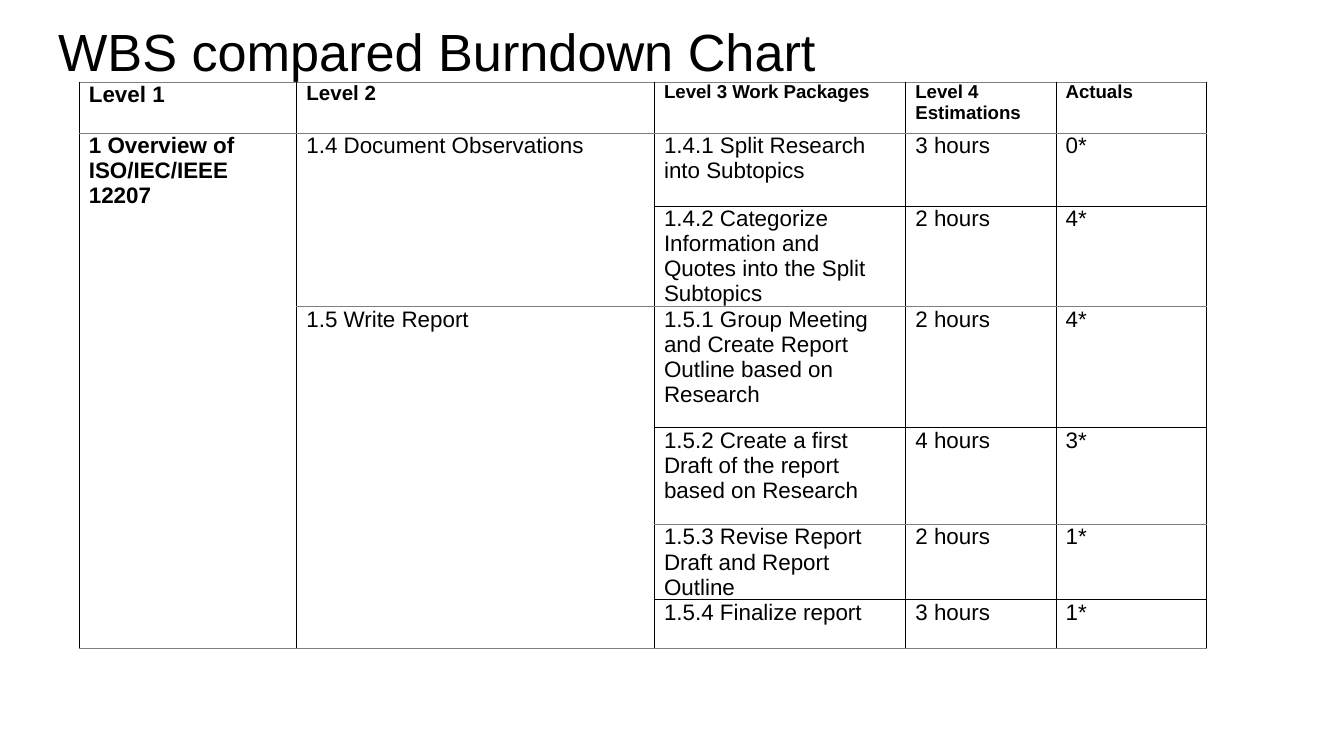
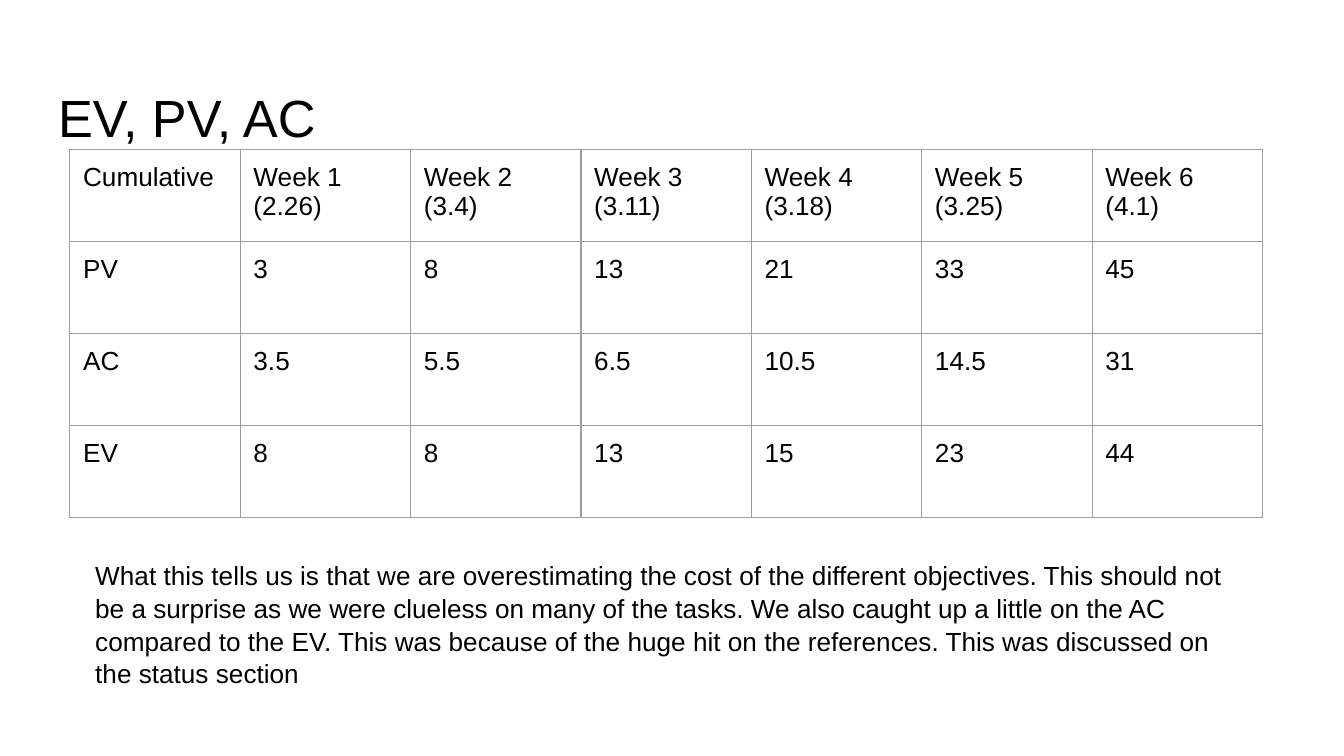
"""Two slides that compare project estimates with actuals in tables."""
from dataclasses import dataclass

from lxml import etree
from pptx import Presentation
from pptx.dml.color import RGBColor
from pptx.enum.text import MSO_ANCHOR, MSO_AUTO_SIZE, PP_ALIGN
from pptx.oxml.ns import qn
from pptx.util import Cm, Pt

TOP = MSO_ANCHOR.TOP
NO_AUTOFIT = MSO_AUTO_SIZE.NONE
LEFT = PP_ALIGN.LEFT
TITLE_ONLY = 5

FONT = "Arial"
BLACK = "000000"
GREY = "7F7F7F"
LIGHT_GREY = "9E9E9E"
INSET = 0.25


@dataclass(frozen=True)
class Box:
    """A rectangle in centimetres."""
    left: float
    top: float
    width: float
    height: float


@dataclass(frozen=True)
class TextStyle:
    """Size in points, weight and line spacing of a text."""
    size: float
    bold: bool = False
    spacing: float = 1.0


@dataclass(frozen=True)
class Grid:
    """Place, measures (cm) and ruling of a table."""
    left: float
    top: float
    columns: list[float]
    rows: list[float]
    inset_x: float
    inset_y: float
    upright: str
    levels: list[str]
    line_width: float


TITLE = TextStyle(28, spacing=1.1)
BODY = TextStyle(14, spacing=1.04)
CELL = TextStyle(14)
WBS_CELL = TextStyle(12)
WBS_BOLD = TextStyle(12, bold=True)
WBS_HEADS = [WBS_BOLD, TextStyle(11, True)] + [TextStyle(10, True)] * 3

WBS_HEADINGS = ["Level 1", "Level 2", "Level 3 Work Packages",
                "Level 4 Estimations", "Actuals"]
WBS_ROWS = [
    ["1 Overview of ISO/IEC/IEEE 12207", "1.4 Document Observations",
     "1.4.1 Split Research into Subtopics", "3 hours", "0*"],
    ["", "", "1.4.2 Categorize Information and Quotes into the Split Subtopics",
     "2 hours", "4*"],
    ["", "1.5 Write Report",
     "1.5.1 Group Meeting and Create Report Outline based on Research",
     "2 hours", "4*"],
    ["", "", "1.5.2 Create a first Draft of the report based on Research",
     "4 hours", "3*"],
    ["", "", "1.5.3 Revise Report Draft and Report Outline", "2 hours", "1*"],
    ["", "", "1.5.4 Finalize report", "3 hours", "1*"],
]
# Column, first row and last row of each merged cell
WBS_MERGES = [(0, 1, 6), (1, 1, 2), (1, 3, 6)]
WBS_GRID = Grid(1.5, 1.55, [4.11, 6.76, 4.75, 2.84, 2.84],
                [0.97, 1.38, 1.84, 2.29, 1.83, 1.38, 0.92], 0.18, 0, BLACK,
                [GREY, GREY, BLACK, GREY, BLACK, GREY, BLACK, GREY], 0.5)

WEEK_DATES = ["2.26", "3.4", "3.11", "3.18", "3.25", "4.1"]
VALUE_ROWS = [
    ["PV", "3", "8", "13", "21", "33", "45"],
    ["AC", "3.5", "5.5", "6.5", "10.5", "14.5", "31"],
    ["EV", "8", "8", "13", "15", "23", "44"],
]
VALUE_GRID = Grid(1.32, 2.82, [3.22] * 7, [1.74] * 4, INSET, INSET,
                  LIGHT_GREY, [LIGHT_GREY] * 5, 0.75)

SUMMARY = (
    "What this tells us is that we are overestimating the cost of the "
    "different objectives. This should not be a surprise as we were clueless "
    "on many of the tasks. We also caught up a little on the AC compared to "
    "the EV. This was because of the huge hit on the references. This was "
    "discussed on the status section")


def colour(value: str) -> RGBColor:
    """Turn a hex string into a colour."""
    return RGBColor.from_string(value)


def write(frame, text: str, style: TextStyle) -> None:
    """Write one left-aligned paragraph into a text frame."""
    para = frame.paragraphs[0]
    para.alignment = LEFT
    para.line_spacing = style.spacing
    span = para.add_run()
    span.text = text
    span.font.name = FONT
    span.font.size = Pt(style.size)
    span.font.bold = style.bold
    span.font.color.rgb = colour(BLACK)


def fill_box(shape, box: Box, text: str, style: TextStyle) -> None:
    """Place a text shape and write its text."""
    shape.left, shape.top = Cm(box.left), Cm(box.top)
    shape.width, shape.height = Cm(box.width), Cm(box.height)
    frame = shape.text_frame
    frame.word_wrap = True
    frame.auto_size = NO_AUTOFIT
    frame.vertical_anchor = TOP
    frame.margin_left = frame.margin_right = Cm(INSET)
    frame.margin_top = frame.margin_bottom = Cm(INSET)
    write(frame, text, style)


def add_page(deck, title: str, top: float):
    """Add a slide with its title at the given height."""
    page = deck.slides.add_slide(deck.slide_layouts[TITLE_ONLY])
    fill_box(page.shapes.title, Box(0.85, top, 23.67, 1.6), title, TITLE)
    return page


def rule_cell(cell, edges: dict[str, str], width: float) -> None:
    """Draw the four borders of a cell; they precede its fill in the XML."""
    properties = cell._tc.get_or_add_tcPr()
    for place, (tag, value) in enumerate(edges.items()):
        line = etree.Element(qn(f"a:{tag}"), w=str(Pt(width)))
        solid = etree.SubElement(line, qn("a:solidFill"))
        etree.SubElement(solid, qn("a:srgbClr"), val=value)
        properties.insert(place, line)


def add_grid(page, grid: Grid):
    """Add an unfilled table with the measures of the grid."""
    table = page.shapes.add_table(
        len(grid.rows), len(grid.columns), Cm(grid.left), Cm(grid.top),
        Cm(sum(grid.columns)), Cm(sum(grid.rows))).table
    table.first_row = table.horz_banding = False
    for column, width in zip(table.columns, grid.columns):
        column.width = Cm(width)
    for row, height in zip(table.rows, grid.rows):
        row.height = Cm(height)
    return table


def fill_grid(table, grid: Grid, texts: list[list[str]],
              styles: list[list[TextStyle]]) -> None:
    """Write and rule every cell of a table."""
    for row, (line, looks) in enumerate(zip(texts, styles)):
        for column, (text, style) in enumerate(zip(line, looks)):
            cell = table.cell(row, column)
            cell.fill.background()
            cell.vertical_anchor = TOP
            cell.margin_left = cell.margin_right = Cm(grid.inset_x)
            cell.margin_top = cell.margin_bottom = Cm(grid.inset_y)
            bottom = row + cell.span_height if cell.is_merge_origin else row + 1
            rule_cell(cell, {"lnL": grid.upright, "lnR": grid.upright,
                             "lnT": grid.levels[row],
                             "lnB": grid.levels[bottom]}, grid.line_width)
            if text:
                write(cell.text_frame, text, style)


def build_wbs_page(deck) -> None:
    """Build the slide with the work breakdown table."""
    page = add_page(deck, "WBS compared Burndown Chart", 0)
    table = add_grid(page, WBS_GRID)
    for column, first, last in WBS_MERGES:
        table.cell(first, column).merge(table.cell(last, column))
    body_styles = [[WBS_BOLD] + [WBS_CELL] * 4 for _ in WBS_ROWS]
    fill_grid(table, WBS_GRID, [WBS_HEADINGS] + WBS_ROWS,
              [WBS_HEADS] + body_styles)


def build_value_page(deck) -> None:
    """Build the slide with the weekly values and their summary."""
    page = add_page(deck, "EV, PV, AC", 1.25)
    headings = ["Cumulative"] + [f"Week {number} ({date})" for number, date
                                 in enumerate(WEEK_DATES, start=1)]
    texts = [headings] + VALUE_ROWS
    styles = [[CELL] * len(headings) for _ in texts]
    fill_grid(add_grid(page, VALUE_GRID), VALUE_GRID, texts, styles)
    box = Box(1.55, 10.31, 22, 3.15)
    summary = page.shapes.add_textbox(
        Cm(box.left), Cm(box.top), Cm(box.width), Cm(box.height))
    fill_box(summary, box, SUMMARY, BODY)


def main() -> None:
    """Build and save the deck."""
    deck = Presentation()
    deck.slide_width, deck.slide_height = Cm(25.4), Cm(14.29)
    build_wbs_page(deck)
    build_value_page(deck)
    deck.save("out.pptx")


main()
